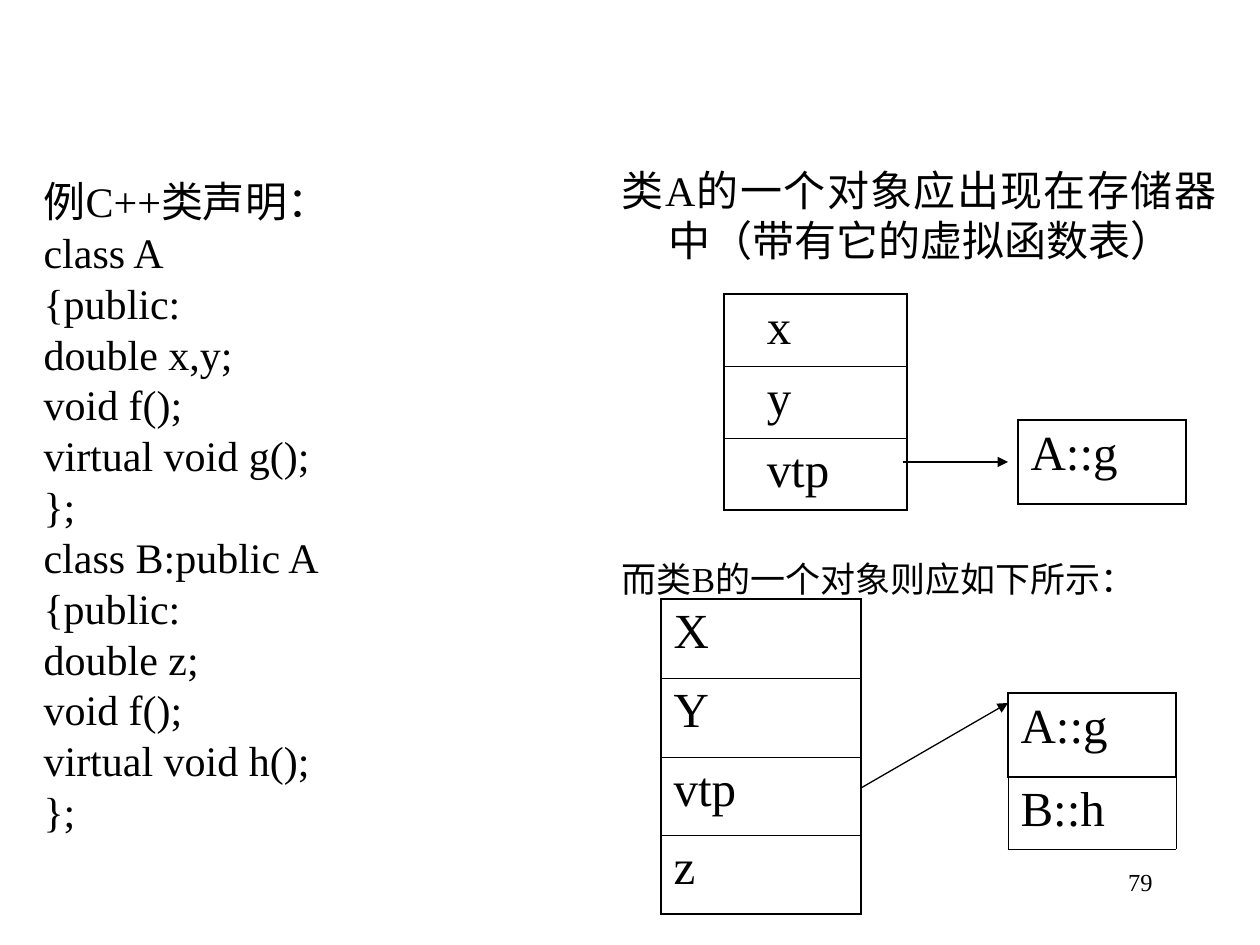
from pptx import Presentation
from pptx import util as u
from pptx.dml.color import RGBColor
from pptx.enum import shapes, text
from pptx.oxml import parse_xml
from pptx.oxml.ns import nsdecls

COLORS = {"ink": "000000"}
FONT = "Times New Roman"
CODE = [
    "例C++类声明：", "class A", "{public:", "double x,y;", "void f();",
    "virtual void g();", "};", "class B:public A", "{public:", "double z;",
    "void f();", "virtual void h();", "};",
]


def px(length):
    return u.Emu(round(length * 914400 / 126))


class Builder:
    def __init__(self, page):
        self.page = page

    def style(self, para, size):
        for span in para.runs:
            span.font.name = FONT
            span.font.size = u.Pt(size)
            span.font.color.rgb = RGBColor.from_string(COLORS["ink"])

    def body(self, index, bounds, lines, spacing):
        box = self.page.placeholders[index]
        box.left, box.top, box.width, box.height = map(px, bounds)
        frame = box.text_frame
        frame.auto_size = text.MSO_AUTO_SIZE.NONE
        frame.vertical_anchor = text.MSO_ANCHOR.TOP
        frame.text = "\n".join(line for line, size, before in lines)
        for para, (line, size, before) in zip(frame.paragraphs, lines):
            props = para._p.get_or_add_pPr()
            props.set("marL", str(px(47)))
            props.set("indent", str(px(-47)))
            props.append(parse_xml(f"<a:buNone {nsdecls('a')}/>"))
            para.alignment = text.PP_ALIGN.JUSTIFY
            para.line_spacing = spacing
            para.space_before = u.Pt(before)
            self.style(para, size)

    def border(self, cell, side, width):
        fill = (f'<a:solidFill><a:srgbClr val="{COLORS["ink"]}"/></a:solidFill>'
                if width else "<a:noFill/>")
        cell._tc.get_or_add_tcPr().append(parse_xml(
            f'<a:ln{side} {nsdecls("a")} w="{u.Pt(width)}">{fill}</a:ln{side}>'))

    def table(self, left, top, widths, heights, rows, outer=1.08):
        grid = self.page.shapes.add_table(
            len(heights), len(widths), px(left), px(top),
            px(sum(widths)), px(sum(heights))).table
        grid.first_row = grid.horz_banding = False
        for column, width in zip(grid.columns, widths):
            column.width = px(width)
        last_row, last_col = len(heights) - 1, len(widths) - 1
        for r, height in enumerate(heights):
            grid.rows[r].height = px(height)
            for c in range(len(widths)):
                cell = grid.cell(r, c)
                self.border(cell, "L", outer if c == 0 else 0)
                self.border(cell, "R", outer if c == last_col else 0)
                self.border(cell, "T", outer if r == 0 else 0.45)
                self.border(cell, "B", outer if r == last_row else 0.45)
                cell.fill.background()
            cell.text_frame.text = rows[r]
            self.style(cell.text_frame.paragraphs[0], 28)

    def arrow(self, x1, y1, x2, y2):
        line = self.page.shapes.add_connector(
            shapes.MSO_CONNECTOR.STRAIGHT, px(x1), px(y1), px(x2), px(y2))
        line.line.color.rgb = RGBColor.from_string(COLORS["ink"])
        line.line.width = u.Pt(0.75)
        line.line._get_or_add_ln().append(
            parse_xml(f'<a:tailEnd {nsdecls("a")} type="triangle"/>'))
        line._element.spPr.append(parse_xml(f"<a:effectLst {nsdecls('a')}/>"))

    def label(self, left, top, width, height, words, size):
        box = self.page.shapes.add_textbox(px(left), px(top), px(width), px(height))
        box.text_frame.word_wrap = True
        box.text_frame.text = words
        para = box.text_frame.paragraphs[0]
        para.alignment = text.PP_ALIGN.RIGHT
        self.style(para, size)


def main():
    deck = Presentation()
    deck.slide_width, deck.slide_height = u.Inches(10), u.Inches(7.5)
    page = deck.slides.add_slide(deck.slide_layouts[3])
    title = page.shapes.title._element
    title.getparent().remove(title)

    build = Builder(page)
    build.body(1, (31, 179, 588, 724),
               [(line, 24, 6 if i else 0) for i, line in enumerate(CODE)], 0.8)
    build.body(2, (609, 158, 620, 756), [
        ("类A的一个对象应出现在存储器中（带有它的虚拟函数表）", 24, 0),
        ("而类B的一个对象则应如下所示：", 20, 167),
    ], 1.0)

    build.table(724, 294, [30, 153], [72] * 3, ["x", "y", "vtp"])
    build.table(1018, 420, [168], [84], ["A::g"])
    build.table(1008, 777, [168], [72], ["B::h"], outer=0.45)
    build.table(1008, 693, [168], [84], ["A::g"])
    build.table(661, 599, [200], [79, 79, 78, 79], ["X", "Y", "vtp", "z"])

    build.arrow(903, 462, 1008, 462)
    build.arrow(861, 788, 1008, 703)
    build.label(903, 861, 262, 63, "79", 14)
    deck.save("out.pptx")


if __name__ == "__main__":
    main()
